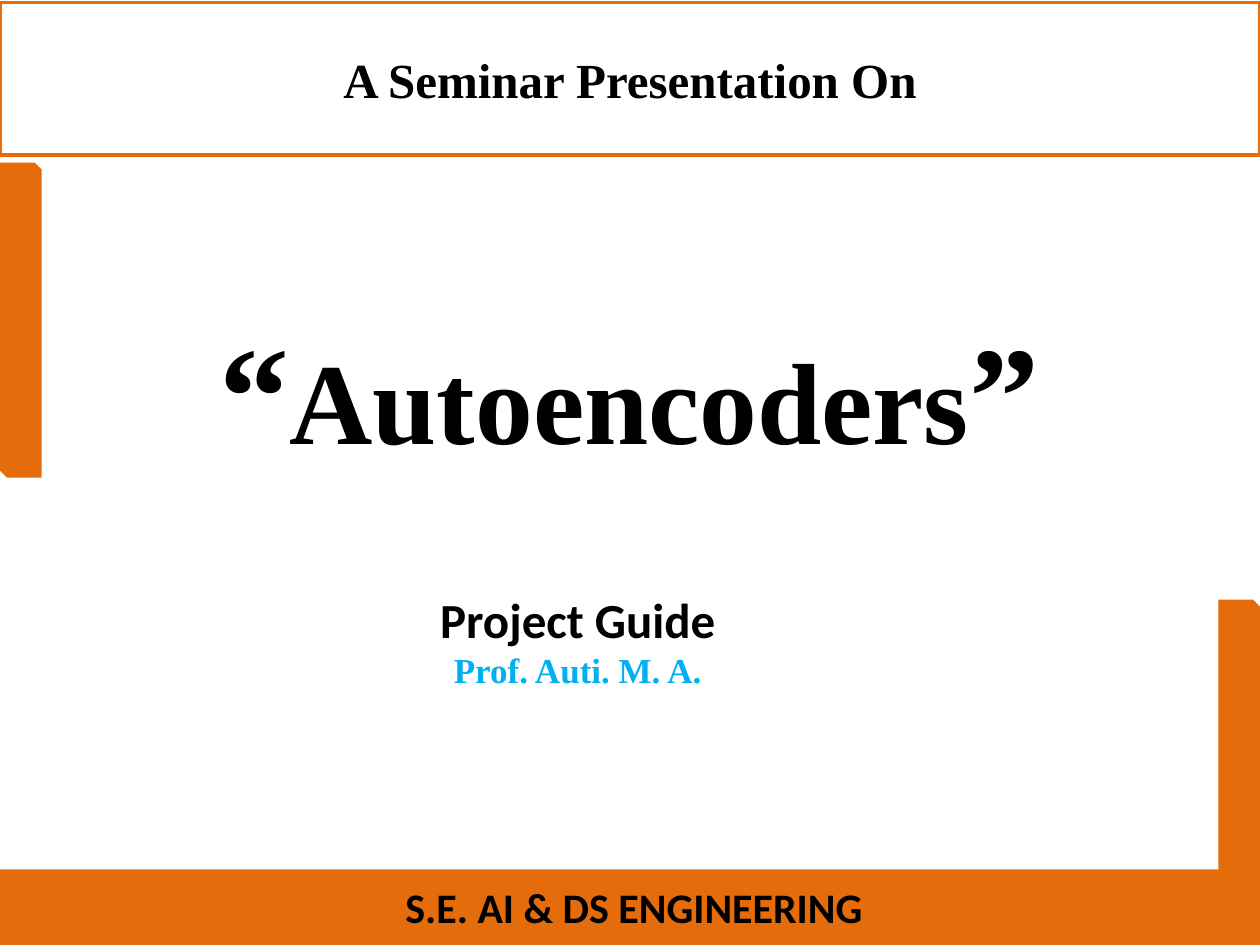
import pptx
import pptx.dml.color
import pptx.enum.shapes
import pptx.enum.text
import pptx.oxml
import pptx.oxml.ns
import pptx.util

Inches = pptx.util.Inches
Pt = pptx.util.Pt
RGBColor = pptx.dml.color.RGBColor
Shape = pptx.enum.shapes.MSO_SHAPE
Anchor = pptx.enum.text.MSO_ANCHOR

BLACK = RGBColor(0x00, 0x00, 0x00)
WHITE = RGBColor(0xFF, 0xFF, 0xFF)
ORANGE = RGBColor(0xE4, 0x6C, 0x0A)
BLUE = RGBColor(0x00, 0xB0, 0xF0)
SERIF = "Times New Roman"
SANS = "Calibri"
WIDTH, HEIGHT = 10, 7.5
TAB_WIDTH = 0.33


class SlideBuilder:
    def __init__(self, deck):
        self.page = deck.slides.add_slide(deck.slide_layouts[6])

    def fill_text(self, frame, paragraphs):
        frame.word_wrap = True
        for index, spans in enumerate(paragraphs):
            para = frame.add_paragraph() if index else frame.paragraphs[0]
            para.alignment = pptx.enum.text.PP_ALIGN.CENTER
            for text, size, font, color in spans:
                span = para.add_run()
                span.text = text
                span.font.size = Pt(size)
                span.font.name = font
                span.font.bold = True
                span.font.color.rgb = color

    def shape(self, kind, bounds, fill, line=None, paragraphs=()):
        box = self.page.shapes.add_shape(kind, *map(Inches, bounds))
        box.shadow.inherit = False
        box.fill.solid()
        box.fill.fore_color.rgb = fill
        if line is None:
            box.line.fill.background()
        else:
            box.line.color.rgb = line
            box.line.width = Pt(2)
        box.text_frame.vertical_anchor = Anchor.MIDDLE
        self.fill_text(box.text_frame, paragraphs)

    def text(self, bounds, top_margin, paragraphs):
        box = self.page.shapes.add_textbox(*map(Inches, bounds))
        box.text_frame.margin_top = Inches(top_margin)
        self.fill_text(box.text_frame, paragraphs)

    def table(self, bounds, paragraphs):
        frame = self.page.shapes.add_table(1, 1, *map(Inches, bounds))
        cell = frame.table.cell(0, 0)
        self.fill_text(cell.text_frame, paragraphs)
        properties = cell._tc.get_or_add_tcPr()
        for side, width in (("L", 1), ("R", 1), ("T", 1), ("B", 3)):
            properties.append(pptx.oxml.parse_xml(
                f'<a:ln{side} {pptx.oxml.ns.nsdecls("a")} w="{Pt(width)}">'
                f'<a:solidFill><a:srgbClr val="{WHITE}"/></a:solidFill>'
                f'</a:ln{side}>'))
        cell.fill.solid()
        cell.fill.fore_color.rgb = WHITE


def main():
    deck = pptx.Presentation()
    deck.slide_width = Inches(WIDTH)
    deck.slide_height = Inches(HEIGHT)
    slide = SlideBuilder(deck)

    slide.shape(Shape.RECTANGLE, (0, 0.02, WIDTH, 1.21), WHITE, ORANGE,
                [[("A Seminar Presentation On", 28, SERIF, BLACK)]])
    slide.shape(Shape.RECTANGLE, (0, 6.9, WIDTH, 0.6), ORANGE, None,
                [[(" ", 20, SANS, BLACK),
                  ("S.E. AI & DS ENGINEERING", 24, SANS, BLACK)]])
    for left, top, height in ((0, 1.29, 2.5), (WIDTH - TAB_WIDTH, 4.76, 2.41)):
        slide.shape(Shape.SNIP_2_DIAG_RECTANGLE,
                    (left, top, TAB_WIDTH, height), ORANGE)
    slide.text((0.58, 1.59, 8.83, 3.58), 0.83,
               [[("“", 80, SERIF, BLACK),
                 ("Autoencoders", 66, SERIF, BLACK),
                 ("”", 80, SERIF, BLACK)]])
    slide.table((1.25, 4.65, 6.67, 1.52),
                [[("Project Guide", 28, SANS, BLACK)],
                 [("Prof. Auti. M. A.", 20, SERIF, BLUE)]])
    deck.save("out.pptx")


if __name__ == "__main__":
    main()
